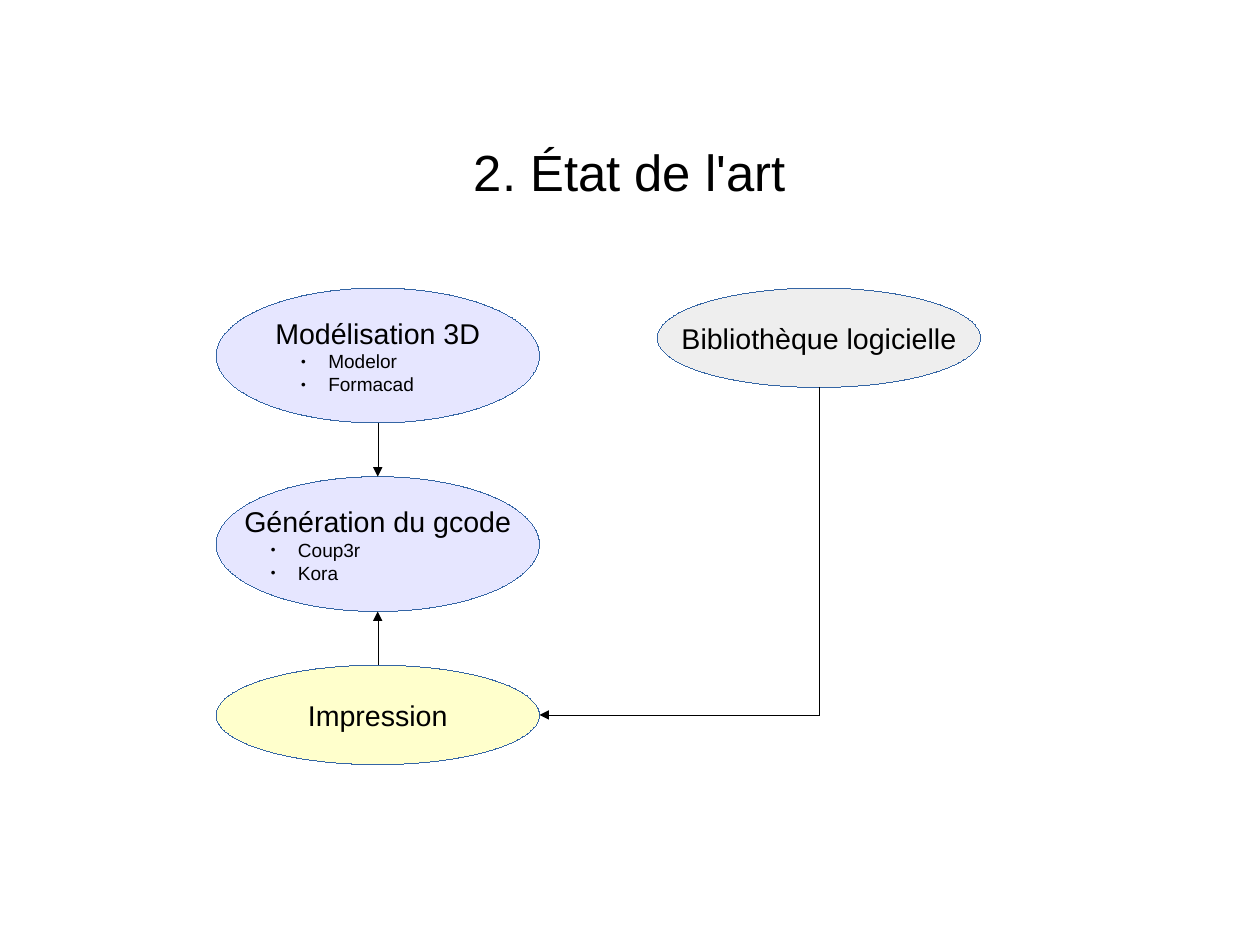
from dataclasses import dataclass

from lxml.etree import SubElement
from pptx import Presentation
from pptx.dml.color import RGBColor
from pptx.dml.line import LineFormat
from pptx.enum.shapes import MSO_CONNECTOR, MSO_SHAPE
from pptx.enum.text import MSO_ANCHOR, PP_ALIGN
from pptx.oxml.ns import qn
from pptx.shapes.connector import Connector
from pptx.slide import Slide
from pptx.util import Inches, Pt

PAGE_W, PAGE_H = 28 / 2.54, 21 / 2.54
FONT = "Arial"
BLACK = "000000"
BLUE = "3465A4"
LILAC = "E6E6FF"
WIDTH = 2.83
TALL, LOW = 1.18, 0.87
LEFT, RIGHT = 1.89, 5.75
TOP, STEP = 2.52, 1.65


@dataclass
class Node:
    title: str
    x: float
    y: float
    height: float
    fill: str
    tools: tuple[str, ...] = ()

    @property
    def mid(self) -> float:
        return self.x + WIDTH / 2

    @property
    def base(self) -> float:
        return self.y + self.height


def color(code: str) -> RGBColor:
    return RGBColor.from_string(code)


def hairline(line: LineFormat, code: str) -> None:
    """Write the zero width out, since the width setter drops it."""
    line.color.rgb = color(code)
    line._get_or_add_ln().set("w", "0")


def style(para, size: int) -> None:
    for run in para.runs:
        run.font.size = Pt(size)
        run.font.name = FONT
        run.font.color.rgb = color(BLACK)


def bullet(para) -> None:
    para.level = 1
    para.alignment = PP_ALIGN.LEFT
    props = para._p.get_or_add_pPr()
    props.set("marL", str(Inches(0.47)))
    props.set("indent", str(Inches(-0.24)))
    tint = SubElement(props, qn("a:buClr"))
    SubElement(tint, qn("a:srgbClr"), val=BLACK)
    SubElement(props, qn("a:buSzPct"), val="45000")
    SubElement(props, qn("a:buFont"), typeface=FONT)
    SubElement(props, qn("a:buChar"), char="●")


def add_title(slide: Slide, text: str) -> None:
    box = slide.shapes.add_textbox(0, Inches(1.18), Inches(PAGE_W), Inches(1.59))
    box.text_frame.word_wrap = True
    box.text_frame.text = text
    para = box.text_frame.paragraphs[0]
    para.alignment = PP_ALIGN.CENTER
    style(para, 32)


def add_node(slide: Slide, node: Node) -> None:
    oval = slide.shapes.add_shape(
        MSO_SHAPE.OVAL, Inches(node.x), Inches(node.y),
        Inches(WIDTH), Inches(node.height))
    oval.shadow.inherit = False
    oval.fill.solid()
    oval.fill.fore_color.rgb = color(node.fill)
    hairline(oval.line, BLUE)
    frame = oval.text_frame
    frame.word_wrap = False
    frame.vertical_anchor = MSO_ANCHOR.MIDDLE
    frame.text = "\n".join((node.title, *node.tools))
    head, *items = frame.paragraphs
    head.alignment = PP_ALIGN.CENTER
    style(head, 18)
    for item in items:
        bullet(item)
        style(item, 12)


def add_arrow(slide: Slide, kind: MSO_CONNECTOR, x1: float, y1: float,
              x2: float, y2: float) -> Connector:
    arrow = slide.shapes.add_connector(
        kind, Inches(x1), Inches(y1), Inches(x2), Inches(y2))
    hairline(arrow.line, BLACK)
    SubElement(arrow.line._get_or_add_ln(), qn("a:tailEnd"), type="triangle")
    SubElement(arrow._element.spPr, qn("a:effectLst"))
    return arrow


def add_elbow(slide: Slide, x1: float, y1: float, x2: float, y2: float) -> None:
    """Go down from the start, then left to the end: a corner turned by 90°."""
    mid_x, mid_y = (x1 + x2) / 2, (y1 + y2) / 2
    half_w, half_h = (y2 - y1) / 2, (x1 - x2) / 2
    elbow = add_arrow(slide, MSO_CONNECTOR.ELBOW, mid_x - half_w, mid_y - half_h,
                      mid_x + half_w, mid_y + half_h)
    props = elbow._element.spPr
    props.find(qn("a:prstGeom")).set("prst", "bentConnector2")
    props.find(qn("a:xfrm")).set("rot", str(90 * 60000))


def main() -> None:
    deck = Presentation()
    deck.slide_width, deck.slide_height = Inches(PAGE_W), Inches(PAGE_H)
    slide = deck.slides.add_slide(deck.slide_layouts[6])
    add_title(slide, "2. État de l'art")

    model = Node("Modélisation 3D", LEFT, TOP, TALL, LILAC, ("Modelor", "Formacad"))
    code = Node("Génération du gcode", LEFT, TOP + STEP, TALL, LILAC,
                ("Coup3r", "Kora"))
    output = Node("Impression", LEFT, TOP + 2 * STEP, LOW, "FFFFCC")
    library = Node("Bibliothèque logicielle", RIGHT, TOP, LOW, "EEEEEE")
    for node in (model, code, output, library):
        add_node(slide, node)

    add_elbow(slide, library.mid, library.base,
              output.x + WIDTH, output.y + LOW / 2)
    straight = MSO_CONNECTOR.STRAIGHT
    add_arrow(slide, straight, model.mid, model.base, code.mid, code.y)
    add_arrow(slide, straight, output.mid, output.y, code.mid, code.base)
    deck.save("out.pptx")


if __name__ == "__main__":
    main()
